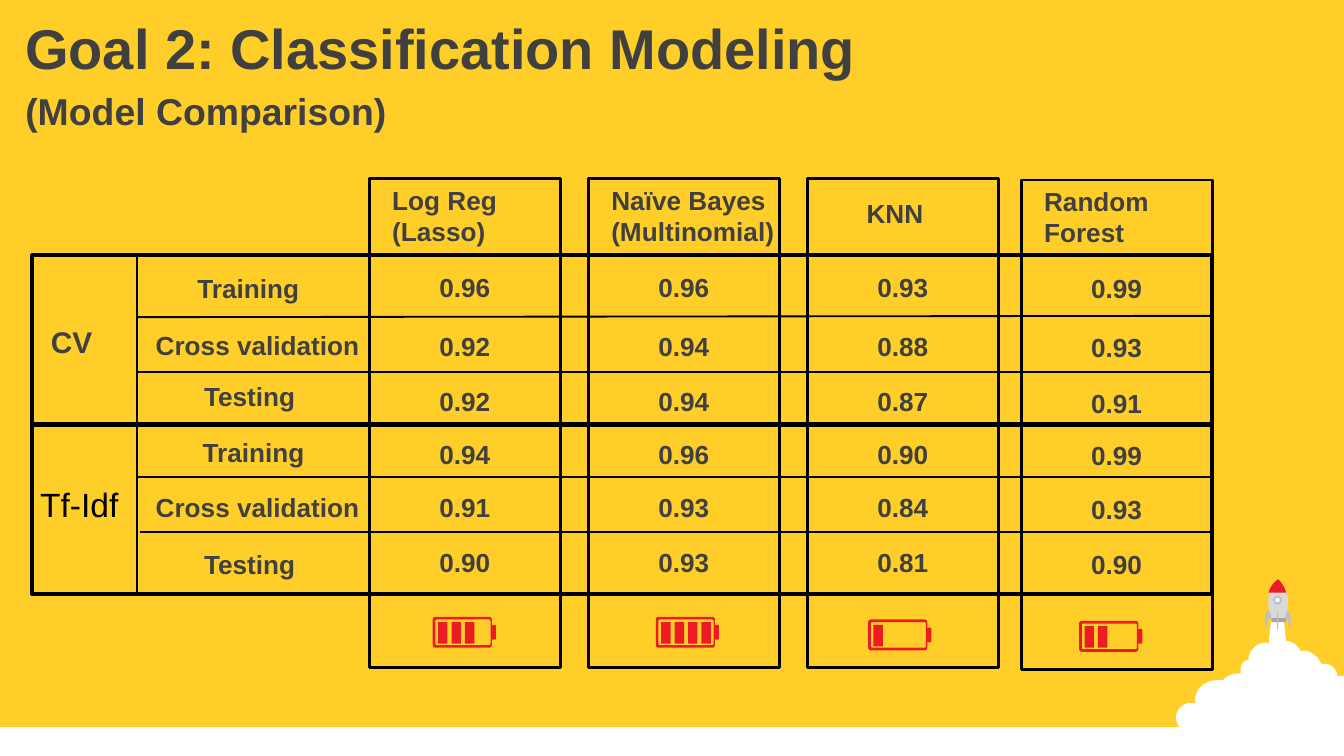
"""Build the classification model comparison slide."""
from dataclasses import dataclass
from math import cos, pi, sin

from lxml import etree
from pptx import Presentation
from pptx.dml.color import RGBColor
from pptx.enum.shapes import MSO_CONNECTOR, MSO_SHAPE
from pptx.enum.text import MSO_ANCHOR, MSO_AUTO_SIZE
from pptx.oxml.ns import qn
from pptx.util import Inches, Pt

RECTANGLE, OVAL = MSO_SHAPE.RECTANGLE, MSO_SHAPE.OVAL
STRAIGHT = MSO_CONNECTOR.STRAIGHT
TOP, MIDDLE = MSO_ANCHOR.TOP, MSO_ANCHOR.MIDDLE
NO_FIT, FIT_TEXT = MSO_AUTO_SIZE.NONE, MSO_AUTO_SIZE.SHAPE_TO_FIT_TEXT


@dataclass(frozen=True)
class Theme:
    font: str = "Arial"
    background: str = "FFCE29"
    text: str = "404040"
    ink: str = "000000"
    white: str = "FFFFFF"
    red: str = "ED1C24"
    hull: str = "D9D9D9"
    nozzle: str = "A6A6A6"
    trim: str = "BFBFBF"
    title: int = 30
    subtitle: int = 20
    tfidf: int = 18
    cv: int = 16
    body: int = 14
    frame: float = 2.25
    column: float = 1.5
    rule: float = 1


@dataclass(frozen=True)
class Model:
    header: tuple[str, ...]
    left: float
    header_inset: float
    header_top: float
    header_width: float
    scores: tuple[str, ...]
    charge: int
    battery: tuple[float, float]
    drop: float = 0


@dataclass(frozen=True)
class Metric:
    label: str
    left: float
    top: float
    width: float
    score_top: float


THEME = Theme()
MODELS = (
    Model(("Log Reg", "(Lasso)"), 2.75, 0.07, 1.32, 0.98,
          ("0.96", "0.92", "0.92", "0.94", "0.91", "0.90"), 3, (3.22, 4.59)),
    Model(("Naïve Bayes", "(Multinomial)"), 4.38, 0.07, 1.32, 1.42,
          ("0.96", "0.94", "0.94", "0.96", "0.93", "0.93"), 4, (4.88, 4.59)),
    Model(("KNN",), 6.01, 0.34, 1.42, 0.63,
          ("0.93", "0.88", "0.87", "0.90", "0.84", "0.81"), 1, (6.46, 4.61)),
    Model(("Random", "Forest"), 7.6, 0.07, 1.32, 0.99,
          ("0.99", "0.93", "0.91", "0.99", "0.93", "0.90"), 2, (8.03, 4.62), 0.01),
)
METRICS = (
    Metric("Training", 1.37, 1.98, 0.96, 1.97),
    Metric("Cross validation", 1.06, 2.4, 1.72, 2.41),
    Metric("Testing", 1.42, 2.78, 0.88, 2.82),
    Metric("Training", 1.41, 3.2, 0.96, 3.21),
    Metric("Cross validation", 1.06, 3.61, 1.72, 3.61),
    Metric("Testing", 1.42, 4.03, 0.88, 4.02),
)
RULES = ((1.02, 2.36, 2.35), (1.02, 2.77, 2.77), (1.02, 3.55, 3.55), (1.04, 3.96, 3.96))
SMOKE = (
    (9.46, 4.59), (9.55, 4.59), (9.57, 4.77), (9.59, 4.77),
    (9.62, 4.78, 9.65, 4.8, 9.67, 4.83), (9.68, 4.85), (9.69, 4.84),
    (9.75, 4.84, 9.81, 4.88, 9.83, 4.94), (9.86, 4.94),
    (9.9, 4.94, 9.94, 4.97, 9.95, 5.02), (9.95, 5.03), (10, 5.03), (10, 5.6), (9.98, 5.6),
    (9.94, 5.6, 9.9, 5.59, 9.87, 5.57), (9.86, 5.56), (9.85, 5.57),
    (9.83, 5.58, 9.81, 5.59, 9.78, 5.59), (9.75, 5.59, 9.73, 5.57, 9.71, 5.55),
    (9.69, 5.54), (9.69, 5.55), (9.67, 5.58, 9.64, 5.59, 9.6, 5.59),
    (9.57, 5.59, 9.54, 5.58, 9.52, 5.56), (9.51, 5.55), (9.49, 5.56),
    (9.45, 5.59, 9.4, 5.61, 9.34, 5.61), (9.23, 5.61, 9.17, 5.56, 9.13, 5.51),
    (9.11, 5.53, 9.07, 5.54, 9.04, 5.53), (9, 5.52, 8.94, 5.5, 8.93, 5.45),
    (8.93, 5.43), (8.92, 5.44), (8.91, 5.45, 8.89, 5.45, 8.86, 5.45),
    (8.8, 5.45, 8.75, 5.4, 8.75, 5.34), (8.75, 5.28, 8.8, 5.23, 8.86, 5.23),
    (8.88, 5.23), (8.89, 5.24), (8.89, 5.22), (8.89, 5.13, 8.96, 5.06, 9.06, 5.06),
    (9.1, 5.06), (9.11, 5.05), (9.14, 5.02, 9.18, 5.01, 9.23, 5.01), (9.23, 4.98),
    (9.23, 4.95, 9.25, 4.92, 9.28, 4.91), (9.29, 4.91), (9.29, 4.89),
    (9.3, 4.83, 9.36, 4.78, 9.42, 4.78), (9.44, 4.79),
)
HULL = ((9.46, 4.62), (9.44, 4.53, 9.4, 4.4, 9.51, 4.31), (9.62, 4.41, 9.58, 4.54, 9.56, 4.62))
NOSE = ((9.51, 4.31), (9.54, 4.34, 9.56, 4.37, 9.57, 4.41), (9.44, 4.41),
        (9.45, 4.37, 9.47, 4.34, 9.51, 4.31))
LEFT_FIN = ((9.44, 4.54), (9.46, 4.59), (9.42, 4.61, 9.43, 4.66, 9.42, 4.68),
            (9.41, 4.65, 9.4, 4.57, 9.44, 4.54))
RIGHT_FIN = ((9.58, 4.54), (9.56, 4.59), (9.59, 4.61, 9.59, 4.66, 9.6, 4.68),
             (9.6, 4.65, 9.62, 4.57, 9.58, 4.54))


def color(code: str) -> RGBColor:
    return RGBColor.from_string(code)


def paint(shape, fill: str | None, line: str | None, weight: float) -> None:
    shape.shadow.inherit = False
    if fill:
        shape.fill.solid()
        shape.fill.fore_color.rgb = color(fill)
    else:
        shape.fill.background()
    if line:
        shape.line.color.rgb = color(line)
        shape.line.width = Pt(weight)
    else:
        shape.line.fill.background()


def add_block(slide, box: tuple, *, kind=RECTANGLE, fill: str | None = None,
              line: str | None = None, weight: float = 1) -> None:
    paint(slide.shapes.add_shape(kind, *map(Inches, box)), fill, line, weight)


def add_text(slide, box: tuple, lines: tuple, *, sizes: tuple = (THEME.body,),
             ink: str = THEME.text, bold: bool = True, wrap: bool = True,
             anchor=TOP, fit=FIT_TEXT, gap: float = 0) -> None:
    frame = slide.shapes.add_textbox(*map(Inches, box)).text_frame
    frame.word_wrap, frame.auto_size, frame.vertical_anchor = wrap, fit, anchor
    for index, words in enumerate(lines):
        paragraph = frame.paragraphs[0] if index == 0 else frame.add_paragraph()
        size = sizes[min(index, len(sizes) - 1)]
        paragraph.space_before = Pt(size * gap)
        run = paragraph.add_run()
        run.text = words
        run.font.name, run.font.size, run.font.bold = THEME.font, Pt(size), bold
        run.font.color.rgb = color(ink)


def add_rule(slide, left: float, start: float, end: float) -> None:
    rule = slide.shapes.add_connector(STRAIGHT, *map(Inches, (left, start, 9.02, end)))
    rule.line.color.rgb = color(THEME.ink)
    rule.line.width = Pt(THEME.rule)
    etree.SubElement(rule._element.spPr, qn("a:effectLst"))


def trace(outline: tuple, steps: int = 8) -> list[tuple[float, float]]:
    points = [outline[0]]
    for segment in outline[1:]:
        if len(segment) == 2:
            points.append(segment)
            continue
        nodes = (points[-1], segment[:2], segment[2:4], segment[4:])
        for step in range(1, steps + 1):
            t = step / steps
            weights = ((1 - t) ** 3, 3 * t * (1 - t) ** 2, 3 * t * t * (1 - t), t ** 3)
            points.append(tuple(sum(w * n[axis] for w, n in zip(weights, nodes))
                                for axis in (0, 1)))
    return points


def rounded(left: float, top: float, width: float, height: float,
            radius: float = 0) -> list[tuple[float, float]]:
    corners = ((left + width - radius, top + height - radius), (left + radius, top + height - radius),
               (left + radius, top + radius), (left + width - radius, top + radius))
    return [(x + radius * cos(angle), y + radius * sin(angle))
            for quarter, (x, y) in enumerate(corners)
            for angle in ((quarter + step / 4) * pi / 2 for step in range(5 if radius else 1))]


def add_outline(slide, contours: list, fill: str) -> None:
    scaled = [[(Inches(x), Inches(y)) for x, y in contour] for contour in contours]
    builder = slide.shapes.build_freeform(*scaled[0][0])
    for index, contour in enumerate(scaled):
        if index:
            builder.move_to(*contour[0])
        builder.add_line_segments(contour[1:], close=True)
    paint(builder.convert_to_shape(), fill, None, 0)


def add_battery(slide, left: float, top: float, charge: int) -> None:
    shell = [rounded(left, top, 0.44, 0.23, 0.02),
             rounded(left + 0.02, top + 0.02, 0.41, 0.19, 0.01),
             rounded(left + 0.44, top + 0.06, 0.03, 0.11, 0.01)]
    bars = [rounded(left + 0.04 + 0.1 * bar, top + 0.04, 0.07, 0.16) for bar in range(charge)]
    add_outline(slide, shell + bars, THEME.red)


def add_rocket(slide) -> None:
    add_outline(slide, [trace(SMOKE)], THEME.white)
    add_outline(slide, [trace(HULL)], THEME.hull)
    add_block(slide, (9.46, 4.6, 0.11, 0.03), fill=THEME.nozzle)
    add_outline(slide, [trace(NOSE)], THEME.red)
    add_block(slide, (9.48, 4.44, 0.05, 0.05), kind=OVAL, fill=THEME.white, line=THEME.trim)
    add_block(slide, (9.5, 4.55, 0.01, 0.13), fill=THEME.trim)
    for fin in (LEFT_FIN, RIGHT_FIN):
        add_outline(slide, [trace(fin)], THEME.trim)


def add_model(slide, model: Model) -> None:
    add_block(slide, (model.left, 1.33 + model.drop, 1.42, 3.64), line=THEME.ink, weight=THEME.column)
    add_text(slide, (model.left + model.header_inset, model.header_top + model.drop,
                     model.header_width, 0.34 if len(model.header) == 1 else 0.57),
             model.header, wrap=False)
    for metric, score in zip(METRICS, model.scores):
        add_text(slide, (model.left + 0.42, metric.score_top + model.drop, 0.78, 0.34), (score,))
    add_battery(slide, *model.battery, model.charge)


def main() -> None:
    deck = Presentation()
    deck.slide_width, deck.slide_height = Inches(10), Inches(5.625)
    slide = deck.slides.add_slide(deck.slide_layouts[6])
    slide.background.fill.solid()
    slide.background.fill.fore_color.rgb = color(THEME.background)
    add_block(slide, (0, 5.41, 10, 0.22), fill=THEME.white)
    add_rocket(slide)
    add_text(slide, (0.09, 0.23, 9.9, 0.63), ("Goal 2: Classification Modeling", "(Model Comparison)"),
             sizes=(THEME.title, THEME.subtitle), anchor=MIDDLE, fit=NO_FIT, gap=0.2)
    for top in (1.9, 3.16):
        add_block(slide, (0.24, top, 8.78, 1.26), line=THEME.ink, weight=THEME.frame)
    add_text(slide, (0.28, 2.36, 0.92, 0.64), ("CV",), sizes=(THEME.cv,))
    add_text(slide, (0.2, 3.55, 0.93, 0.4), ("Tf-Idf",), sizes=(THEME.tfidf,), ink=THEME.ink, bold=False)
    add_block(slide, (1.02, 1.9, 1.73, 2.52), line=THEME.ink, weight=THEME.column)
    for rule in RULES:
        add_rule(slide, *rule)
    for metric in METRICS:
        add_text(slide, (metric.left, metric.top, metric.width, 0.34), (metric.label,), wrap=False)
    for model in MODELS:
        add_model(slide, model)
    deck.save("out.pptx")


if __name__ == "__main__":
    main()
